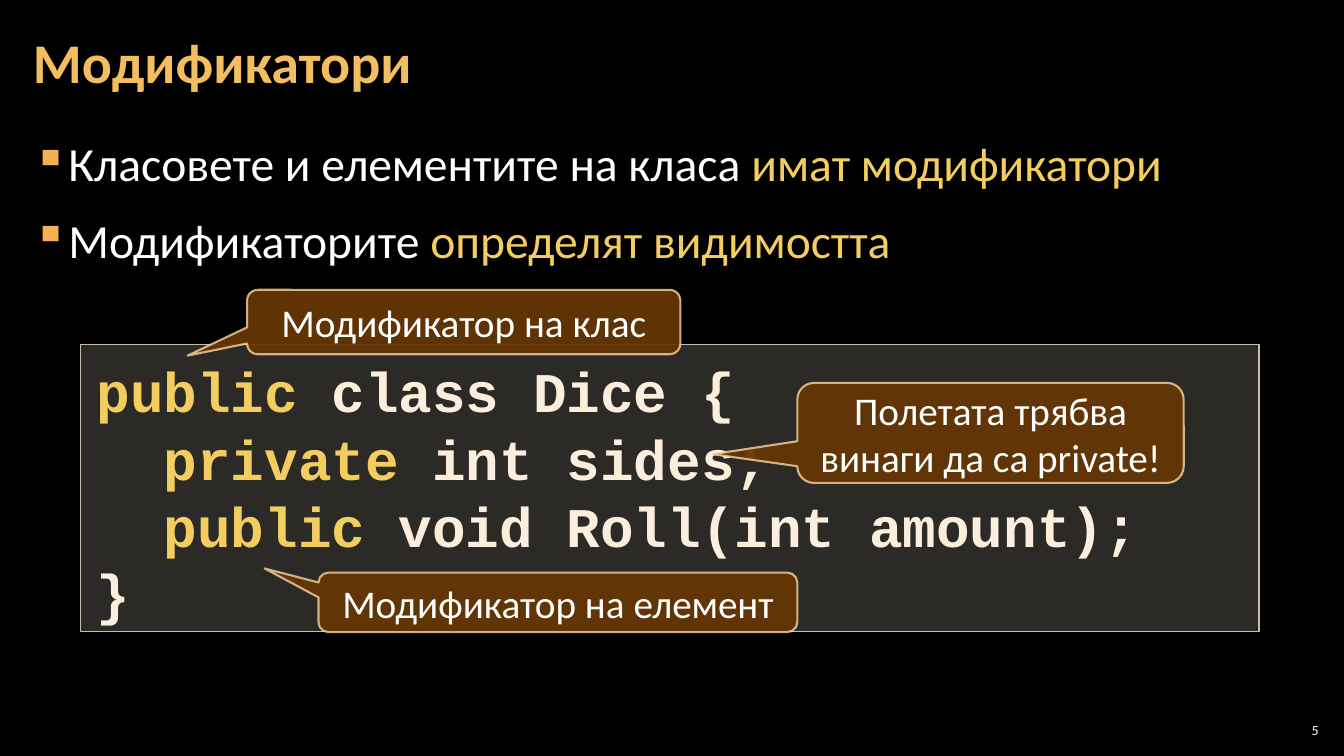
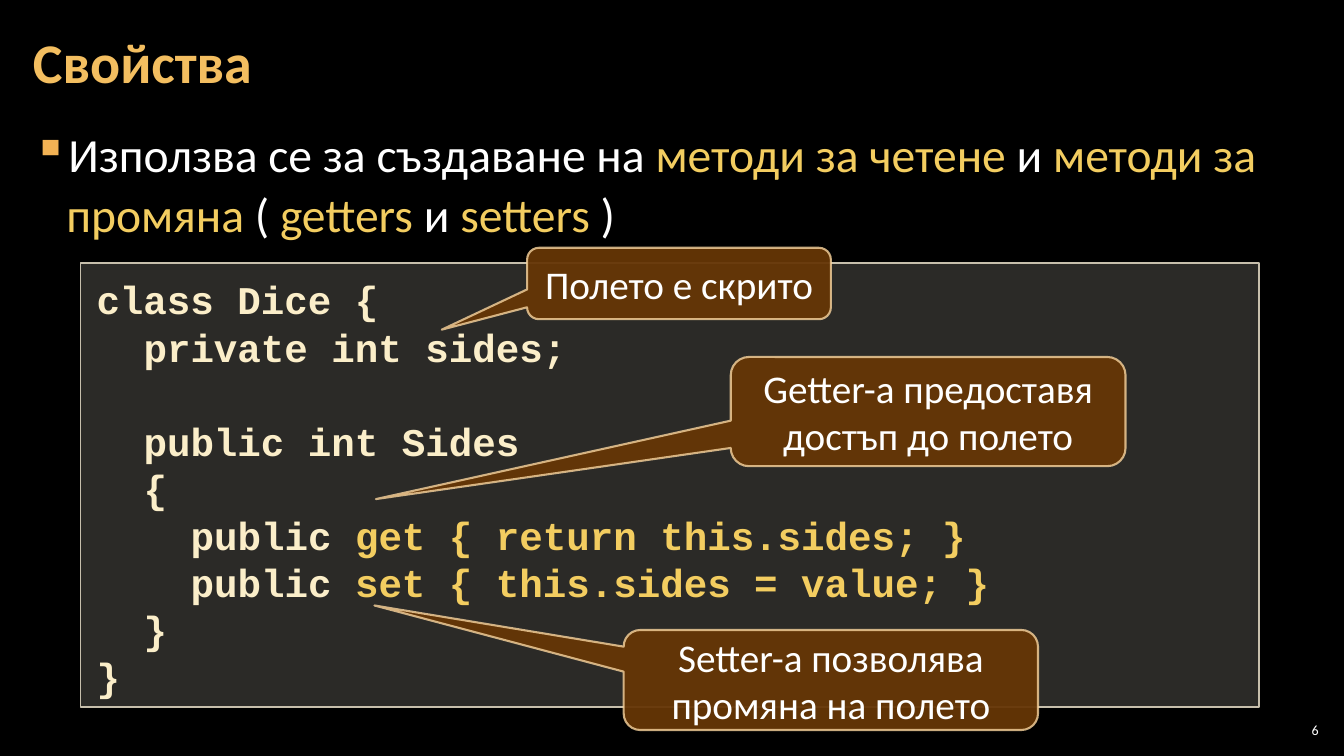
import lxml.etree
import pptx
import pptx.dml.color
import pptx.enum.shapes
import pptx.enum.text
import pptx.oxml.ns
import pptx.util

Pt = pptx.util.Pt
qn = pptx.oxml.ns.qn
Align = pptx.enum.text.PP_ALIGN
Anchor = pptx.enum.text.MSO_ANCHOR
Preset = pptx.enum.shapes.MSO_SHAPE

BLACK, WHITE = "000000", "FFFFFF"
TITLE, ACCENT, BULLET = "F3BE60", "F3CD60", "F2B254"
CREAM, PALE = "FBEEDC", "FBEEC9"
CODE_FILL, CODE_LINE = "D9D5C7", "C7BFAC"
CALLOUT_FILL, CALLOUT_LINE = "663606", "F8D49E"
SANS, MONO = "Calibri", "Courier New"

TITLE_BOX = (15, 3, 754, 87)
NUMBER_BOX = (911, 514, 34, 15)


def rgb(colour):
    """Turn a hex string into a colour."""
    return pptx.dml.color.RGBColor.from_string(colour)


def set_frame(shape, insets, anchor):
    """Prepare the text frame of a shape and return it."""
    frame = shape.text_frame
    frame.word_wrap = True
    frame.auto_size = pptx.enum.text.MSO_AUTO_SIZE.NONE
    frame.vertical_anchor = anchor
    side, edge = insets
    frame.margin_left = frame.margin_right = Pt(side)
    frame.margin_top = frame.margin_bottom = Pt(edge)
    return frame


def add_text(slide, box, insets, anchor=Anchor.TOP):
    """Add a text box and return its frame."""
    return set_frame(slide.shapes.add_textbox(*map(Pt, box)), insets, anchor)


def add_panel(slide, preset, box, fill, line, width, opacity):
    """Add a filled, outlined shape with fill and line opacity in percent."""
    panel = slide.shapes.add_shape(preset, *map(Pt, box))
    panel.shadow.inherit = False
    panel.fill.solid()
    panel.fill.fore_color.rgb = rgb(fill)
    panel.line.color.rgb = rgb(line)
    panel.line.width = Pt(width)
    for colour, percent in zip(panel.element.spPr.iter(qn("a:srgbClr")), opacity):
        lxml.etree.SubElement(colour, qn("a:alpha"), val=str(percent * 1000))
    return panel


def next_paragraph(frame, index):
    """Return the first paragraph of a frame or a new one."""
    return frame.add_paragraph() if index else frame.paragraphs[0]


def add_runs(paragraph, runs, size, font=SANS, bold=False):
    """Write pairs of text and colour as runs."""
    for text, colour in runs:
        run = paragraph.add_run()
        run.text = text
        run.font.size = Pt(size)
        run.font.name = font
        run.font.bold = bold
        run.font.color.rgb = rgb(colour)


def set_bullet(paragraph, indent):
    """Give a paragraph a coloured square bullet and a hanging indent."""
    props = paragraph._p.get_or_add_pPr()
    props.set("marL", str(Pt(indent)))
    props.set("indent", str(-Pt(indent)))
    colour = lxml.etree.SubElement(props, qn("a:buClr"))
    lxml.etree.SubElement(colour, qn("a:srgbClr"), val=BULLET)
    lxml.etree.SubElement(props, qn("a:buChar"), char="▪")


def add_base(deck, title, number):
    """Add a black slide with its title and number."""
    slide = deck.slides.add_slide(deck.slide_layouts[6])
    slide.background.fill.solid()
    slide.background.fill.fore_color.rgb = rgb(BLACK)
    page = add_text(slide, NUMBER_BOX, (3, 3), Anchor.MIDDLE).paragraphs[0]
    page.alignment = Align.RIGHT
    add_runs(page, [(number, WHITE)], 10)
    heading = add_text(slide, TITLE_BOX, (8.5, 3), Anchor.MIDDLE).paragraphs[0]
    heading.line_spacing = 0.9
    add_runs(heading, [(title, TITLE)], 40, bold=True)
    return slide


def add_points(slide, box, points):
    """Add the bulleted statements."""
    frame = add_text(slide, box, (8.5, 3))
    for index, runs in enumerate(points):
        point = next_paragraph(frame, index)
        point.line_spacing = 1.05
        point.space_before = point.space_after = Pt(6)
        set_bullet(point, 24)
        add_runs(point, runs, 34)


def add_code(slide, box, size, lines):
    """Add a code panel; each line is its depth, skipped lines and runs."""
    panel = add_panel(slide, Preset.RECTANGLE, box, CODE_FILL, CODE_LINE, 1, (20, 100))
    frame = set_frame(panel, (11.5, 9), Anchor.TOP)
    pitch = 1.2 * size
    for index, (depth, skipped, runs) in enumerate(lines):
        line = next_paragraph(frame, index)
        line.alignment = Align.LEFT
        line.line_spacing = Pt(pitch)
        line.space_before = Pt(skipped * pitch)
        line._p.get_or_add_pPr().set("marL", str(Pt(depth * 1.2 * size)))
        add_runs(line, runs, size, MONO, True)


def add_callout(slide, box, tip, text):
    """Add a callout whose tail ends at the tip."""
    left, top, width, height = box
    callout = add_panel(slide, Preset.ROUNDED_RECTANGULAR_CALLOUT, box,
                        CALLOUT_FILL, CALLOUT_LINE, 1.5, (95, 80))
    callout.adjustments[0] = (tip[0] - left) / width - 0.5
    callout.adjustments[1] = (tip[1] - top) / height - 0.5
    label = set_frame(callout, (7.2, 3.6), Anchor.MIDDLE).paragraphs[0]
    label.alignment = Align.CENTER
    add_runs(label, [(text, WHITE)], 28)


def add_code_slide(deck, title, number, points_top, points, code_box, code_size, lines, callouts):
    """Build a slide of statements above annotated code."""
    slide = add_base(deck, title, number)
    add_points(slide, (15, points_top, 930, 438), points)
    add_code(slide, code_box, code_size, lines)
    for callout in callouts:
        add_callout(slide, *callout)


def add_modifiers(deck):
    """Build the slide on modifiers."""
    points = [
        [("Класовете и елементите на класа ", WHITE), ("имат модификатори", ACCENT)],
        [("Модификаторите ", WHITE), ("определят видимостта", ACCENT)],
    ]
    lines = [
        (0, 0, [("public ", ACCENT), ("class Dice {", CREAM)]),
        (1, 0, [("private", ACCENT), (" int sides;", CREAM)]),
        (1, 0, [("public", ACCENT), (" void Roll(int amount);", CREAM)]),
        (0, 0, [("}", CREAM)]),
    ]
    callouts = [
        ((176.5, 207, 309.5, 46), (134, 254), "Модификатор на клас"),
        ((227.5, 409, 342, 42.5), (189, 406), "Модификатор на елемент"),
        ((569.5, 273.5, 276, 71.5), (509, 324.5), "Полетата трябва винаги да са private!"),
    ]
    add_code_slide(deck, "Модификатори", "5", 91, points,
                   (57.5, 246, 842, 205), 40, lines, callouts)


def add_properties(deck):
    """Build the slide on properties."""
    points = [[
        ("Използва се за създаване на ", WHITE), ("методи за четене ", ACCENT),
        ("и ", WHITE), ("методи за промяна ", ACCENT), ("( ", WHITE),
        ("getters ", ACCENT), ("и ", WHITE), ("setters ", ACCENT), (")", WHITE),
    ]]
    lines = [
        (0, 0, [("class Dice {", PALE)]),
        (1, 0, [("private int sides;", PALE)]),
        (1, 1, [("public int Sides", PALE)]),
        (1, 0, [("{", PALE)]),
        (2, 0, [("public ", PALE), ("get { return this.sides; }", ACCENT)]),
        (2, 0, [("public ", PALE), ("set { this.sides = value; }", ACCENT)]),
        (1, 0, [("}", PALE)]),
        (0, 0, [("}", PALE)]),
    ]
    callouts = [
        ((376.5, 177, 217, 51), (315.5, 235.5), "Полето е скрито"),
        ((522, 255, 282, 78), (268.5, 356.5), "Getter-а предоставя достъп до полето"),
        ((445.5, 450, 296, 71.5), (267.5, 432.5), "Setter-а позволява промяна на полето"),
    ]
    add_code_slide(deck, "Свойства", "6", 84, points,
                   (57.5, 188, 842, 317), 28, lines, callouts)


def main():
    """Build and save the presentation."""
    deck = pptx.Presentation()
    deck.slide_width, deck.slide_height = Pt(960), Pt(540)
    add_modifiers(deck)
    add_properties(deck)
    deck.save("out.pptx")


if __name__ == "__main__":
    main()
